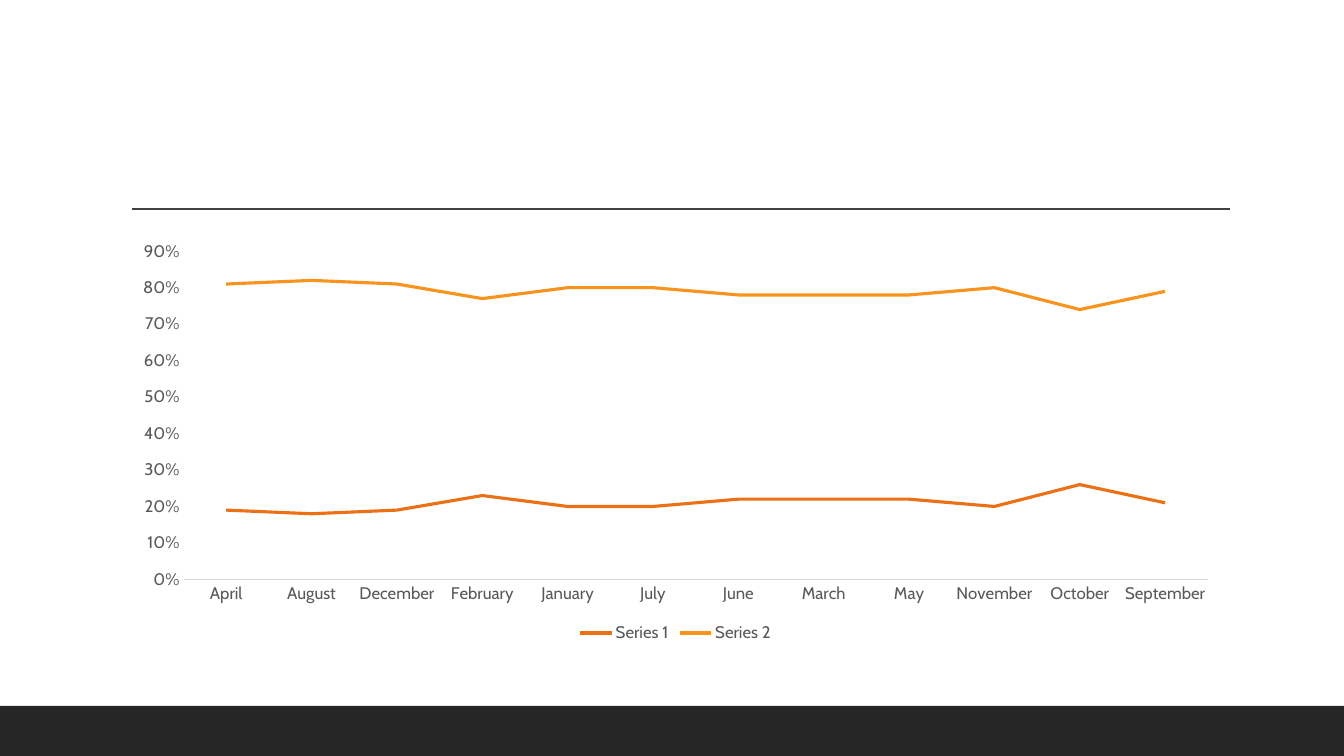
import pptx
import pptx.chart.data
import pptx.dml.color
import pptx.enum.chart
import pptx.enum.shapes
import pptx.oxml.ns
import pptx.util
from lxml import etree

WIDE, HIGH = 1344, 756
MONTHS = ["April", "August", "December", "February", "January", "July",
          "June", "March", "May", "November", "October", "September"]
SERIES = {
    "Series 1": [0.19, 0.18, 0.19, 0.23, 0.2, 0.2, 0.22, 0.22, 0.22, 0.2, 0.26, 0.21],
    "Series 2": [0.81, 0.82, 0.81, 0.77, 0.8, 0.8, 0.78, 0.78, 0.78, 0.8, 0.74, 0.79],
}


def px(count):
    return pptx.util.Emu(round(count * 914400 / 100.8))


class Page:
    face = "Cabin"
    size = 12
    colors = {"band": "262626", "rule": "404040", "text": "595959", "axis": "D9D9D9",
              "Series 1": "EC7016", "Series 2": "F8931D"}

    def __init__(self, deck):
        self.slide = deck.slides.add_slide(deck.slide_layouts[6])

    def color(self, name):
        return pptx.dml.color.RGBColor.from_string(self.colors[name])

    def stroke(self, line, name, width):
        line.color.rgb = self.color(name)
        line.width = pptx.util.Pt(width)

    def style(self, font):
        font.name = self.face
        font.size = pptx.util.Pt(self.size)
        font.color.rgb = self.color("text")

    def band(self, left, top, width, height):
        shape = self.slide.shapes.add_shape(
            pptx.enum.shapes.MSO_SHAPE.RECTANGLE, *map(px, (left, top, width, height)))
        shape.shadow.inherit = False
        shape.fill.solid()
        shape.fill.fore_color.rgb = self.color("band")
        shape.line.fill.background()

    def rule(self, left, right, y):
        line = self.slide.shapes.add_connector(
            pptx.enum.shapes.MSO_CONNECTOR.STRAIGHT, *map(px, (left, y, right, y)))
        self.stroke(line.line, "rule", 1)
        etree.SubElement(line._element.spPr, pptx.oxml.ns.qn("a:effectLst"))

    def graph(self, left, top, width, height):
        data = pptx.chart.data.CategoryChartData(number_format="0%")
        data.categories = MONTHS
        for name, values in SERIES.items():
            data.add_series(name, values)
        chart = self.slide.shapes.add_chart(
            pptx.enum.chart.XL_CHART_TYPE.LINE,
            *map(px, (left, top, width, height)), data).chart
        self.style(chart.font)
        chart.has_title = False
        chart.has_legend = True
        chart.legend.position = pptx.enum.chart.XL_LEGEND_POSITION.BOTTOM
        chart.legend.include_in_layout = False
        self.style(chart.legend.font)
        for axis in (chart.category_axis, chart.value_axis):
            axis.has_major_gridlines = False
            axis.major_tick_mark = pptx.enum.chart.XL_TICK_MARK.NONE
            axis.minor_tick_mark = pptx.enum.chart.XL_TICK_MARK.NONE
            self.style(axis.tick_labels.font)
        self.stroke(chart.category_axis.format.line, "axis", 0.75)
        scale = chart.value_axis
        scale.format.line.fill.background()
        scale.minimum_scale, scale.maximum_scale, scale.major_unit = 0, 0.9, 0.1
        scale.tick_labels.number_format = "0%"
        scale.tick_labels.number_format_is_linked = False
        chart.plots[0].vary_by_categories = False
        for series in chart.plots[0].series:
            series.smooth = False
            series.marker.style = pptx.enum.chart.XL_MARKER_STYLE.NONE
            self.stroke(series.format.line, series.name, 2.25)


deck = pptx.Presentation()
deck.slide_width, deck.slide_height = px(WIDE), px(HIGH)
page = Page(deck)
page.band(0, 706, WIDE, HIGH - 706)
page.rule(132, 1230, 209)
page.graph(121, 233, 1109, 414)
deck.save("out.pptx")
